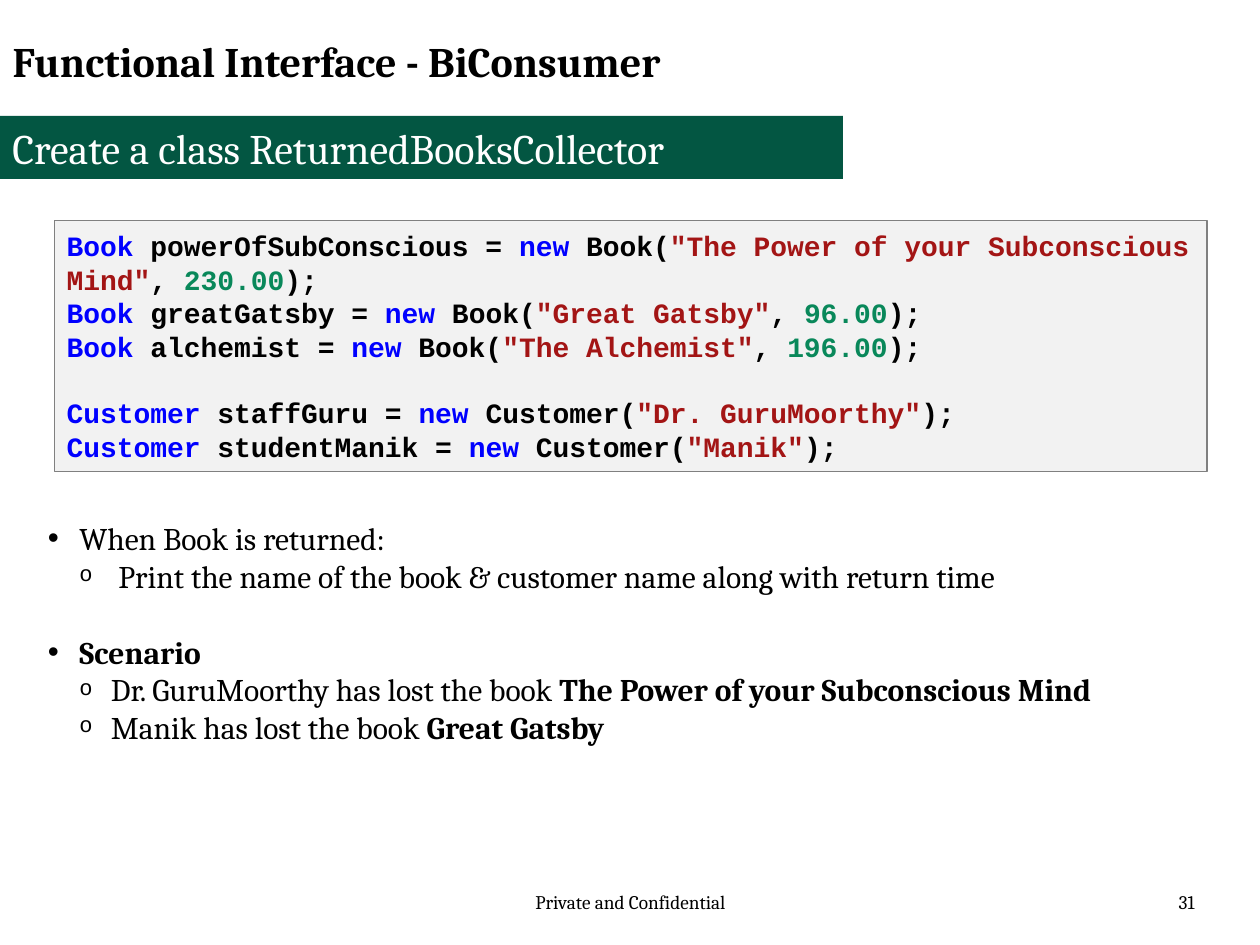
from dataclasses import dataclass

from lxml import etree
from pptx import Presentation
from pptx.dml.color import RGBColor
from pptx.enum.shapes import MSO_SHAPE
from pptx.enum.text import MSO_ANCHOR, MSO_AUTO_SIZE, PP_ALIGN
from pptx.oxml.ns import qn
from pptx.util import Inches, Pt

RECTANGLE = MSO_SHAPE.RECTANGLE
LEFT, CENTER, RIGHT = PP_ALIGN.LEFT, PP_ALIGN.CENTER, PP_ALIGN.RIGHT
TOP, MIDDLE = MSO_ANCHOR.TOP, MSO_ANCHOR.MIDDLE
NO_FIT = MSO_AUTO_SIZE.NONE
COLUMNS, ROWS = 100, 75


@dataclass(frozen=True)
class Theme:
    """Fonts, sizes and colours of the deck."""
    font: str = "Cambria"
    code_font: str = "Courier New"
    heading: int = 24
    body: int = 18
    code: int = 16
    code_line: float = 19.15
    body_gap: float = 21.6
    footer: int = 11
    ink: str = "000000"
    white: str = "FFFFFF"
    green: str = "035642"
    panel: str = "F2F2F2"
    border: str = "808080"
    keyword: str = "0000FF"
    string: str = "A31515"
    number: str = "09885A"


THEME = Theme()


@dataclass(frozen=True)
class Box:
    """A region measured in grid columns and rows."""
    column: float
    row: float
    columns: float
    rows: float

    def place(self):
        """Return left, top, width and height as slide lengths."""
        cell_width, cell_height = Inches(10) / COLUMNS, Inches(7.5) / ROWS
        return (round(self.column * cell_width), round(self.row * cell_height),
                round(self.columns * cell_width), round(self.rows * cell_height))


def move(shape, box):
    """Move a placeholder into a box."""
    shape.left, shape.top, shape.width, shape.height = box.place()


def set_frame(frame, anchor):
    """Make a frame wrap at a fixed size."""
    frame.word_wrap = True
    frame.auto_size = NO_FIT
    frame.vertical_anchor = anchor


def style(span, size, color=THEME.ink, bold=False, font=THEME.font):
    """Format one run."""
    span.font.name = font
    span.font.size = Pt(size)
    span.font.bold = bold
    span.font.color.rgb = RGBColor.from_string(color)


def set_line(frame, text, size, align=LEFT, color=THEME.ink, bold=False):
    """Write and format a single line."""
    frame.text = text
    para = frame.paragraphs[0]
    para.alignment = align
    style(para.runs[0], size, color, bold)


def add_paragraphs(frame, count):
    """Return a list of paragraphs, using the frame's first one."""
    return [frame.paragraphs[0]] + [frame.add_paragraph() for _ in range(count - 1)]


def add_panel(page, box, fill, border=None):
    """Add a flat rectangle."""
    panel = page.shapes.add_shape(RECTANGLE, *box.place())
    panel.shadow.inherit = False
    panel.fill.solid()
    panel.fill.fore_color.rgb = RGBColor.from_string(fill)
    if border:
        panel.line.color.rgb = RGBColor.from_string(border)
        panel.line.width = Pt(0.75)
    else:
        panel.line.fill.background()
    set_frame(panel.text_frame, MIDDLE)
    return panel


def add_title(page, box):
    """Fill the title placeholder."""
    title = page.shapes.title
    move(title, box)
    set_frame(title.text_frame, MIDDLE)
    set_line(title.text_frame, "Functional Interface - BiConsumer", THEME.heading, bold=True)


def add_banner(page, box):
    """Add the green subtitle band."""
    banner = add_panel(page, box, THEME.green)
    set_line(banner.text_frame, "Create a class ReturnedBooksCollector",
             THEME.heading, color=THEME.white)


def declaration(kind, name, text, price=None):
    """Return the coloured tokens of one object declaration."""
    tokens = [(kind, THEME.keyword), (f" {name} = ", THEME.ink),
              ("new", THEME.keyword), (f" {kind}(", THEME.ink),
              (f'"{text}"', THEME.string)]
    if price:
        tokens += [(", ", THEME.ink), (price, THEME.number)]
    return tokens + [(");", THEME.ink)]


def add_code(page, box):
    """Add the code panel with books and customers."""
    groups = [
        [("Book", "powerOfSubConscious", "The Power of your Subconscious Mind", "230.00"),
         ("Book", "greatGatsby", "Great Gatsby", "96.00"),
         ("Book", "alchemist", "The Alchemist", "196.00")],
        [("Customer", "staffGuru", "Dr. GuruMoorthy"),
         ("Customer", "studentManik", "Manik")],
    ]
    frame = add_panel(page, box, THEME.panel, THEME.border).text_frame
    lines = [(line, group > 0 and index == 0)
             for group, members in enumerate(groups)
             for index, line in enumerate(members)]
    for para, (line, starts_group) in zip(add_paragraphs(frame, len(lines)), lines):
        para.alignment = LEFT
        para.line_spacing = Pt(THEME.code_line)
        para.space_before = Pt(THEME.code_line if starts_group else 0)
        for text, color in declaration(*line):
            span = para.add_run()
            span.text = text
            style(span, THEME.code, color, True, THEME.code_font)


def set_bullet(para, margin, hanging, mark, font, percent):
    """Give a paragraph its bullet and hanging indent."""
    props = para._p.get_or_add_pPr()
    props.set("marL", str(Inches(margin)))
    props.set("indent", str(-Inches(hanging)))
    etree.SubElement(props, qn("a:buSzPct")).set("val", str(percent * 1000))
    etree.SubElement(props, qn("a:buFont")).set("typeface", font)
    etree.SubElement(props, qn("a:buChar")).set("char", mark)


def add_scenario(page, box):
    """Fill the body placeholder with the two-level list."""
    items = [
        (0, 0.25, 0.25, [("When Book is returned:", False)]),
        (1, 0.56, 0.31, [("Print the name of the book & customer name along with return time", False)]),
        (0, 0.25, 0.25, [("Scenario", True)]),
        (1, 0.5, 0.25, [("Dr. GuruMoorthy has lost the book ", False),
                        ("The Power of your Subconscious Mind", True)]),
        (1, 0.5, 0.25, [("Manik has lost the book ", False), ("Great Gatsby", True)]),
    ]
    bullets = [("•", "Arial", 100), ("o", THEME.code_font, 70)]
    body = page.placeholders[1]
    move(body, box)
    frame = body.text_frame
    set_frame(frame, TOP)
    for index, para in enumerate(add_paragraphs(frame, len(items))):
        level, margin, hanging, spans = items[index]
        para.level = level
        para.alignment = LEFT
        para.space_before = Pt(THEME.body_gap if index and level == 0 else 0)
        set_bullet(para, margin, hanging, *bullets[level])
        for text, bold in spans:
            span = para.add_run()
            span.text = text
            style(span, THEME.body, bold=bold)


def add_footer(page, box, text, align):
    """Add one footer text."""
    frame = page.shapes.add_textbox(*box.place()).text_frame
    set_frame(frame, TOP)
    set_line(frame, text, THEME.footer, align)


def main():
    """Build and save the deck."""
    deck = Presentation()
    deck.slide_width, deck.slide_height = Inches(10), Inches(7.5)
    page = deck.slides.add_slide(deck.slide_layouts[1])
    add_footer(page, Box(34.2, 70.2, 31.7, 4), "Private and Confidential", CENTER)
    add_footer(page, Box(72.5, 70.2, 23.3, 4), "31", RIGHT)
    add_title(page, Box(0, 1.7, 75.9, 6.2))
    add_banner(page, Box(0, 9.2, 66.9, 5))
    add_scenario(page, Box(2.8, 40.7, 94.4, 19.2))
    add_code(page, Box(4.3, 17.5, 91.5, 19.9))
    deck.save("out.pptx")


if __name__ == "__main__":
    main()
